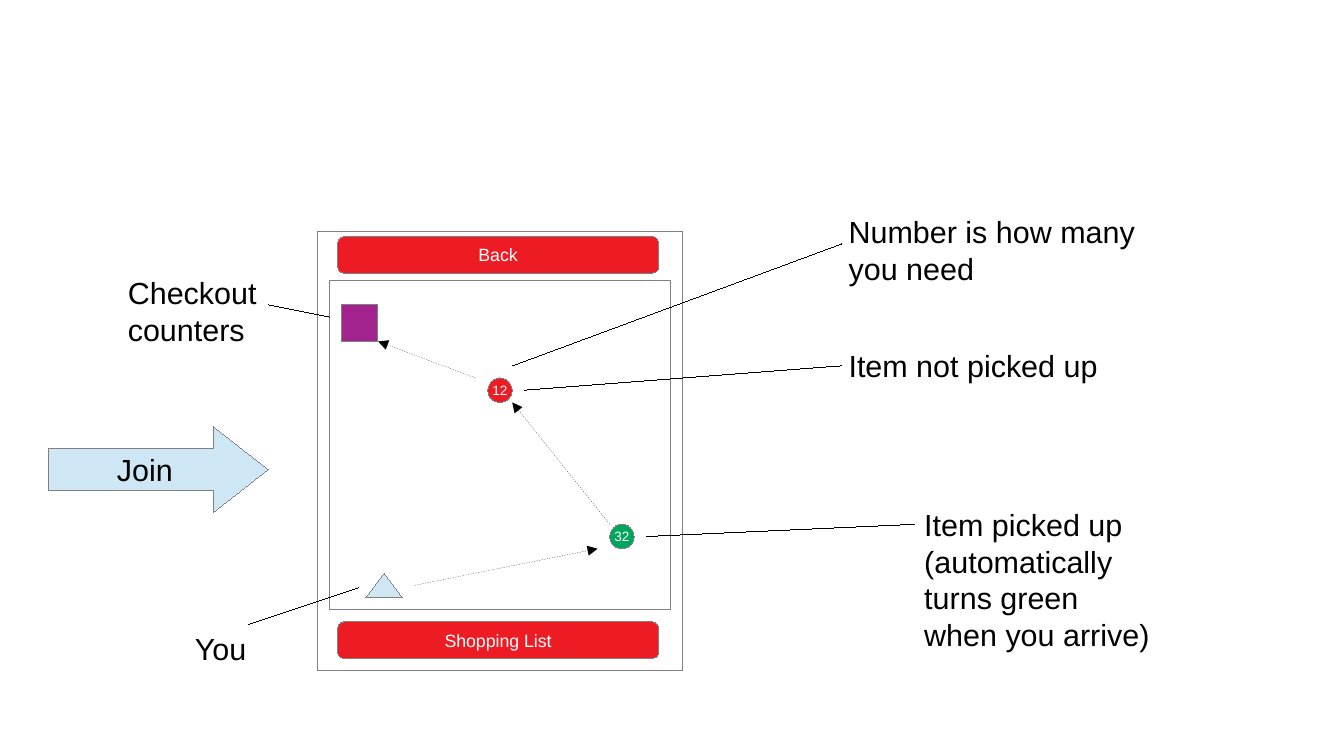
from dataclasses import dataclass

from lxml import etree
from pptx import Presentation
from pptx.dml.color import RGBColor
from pptx.enum.dml import MSO_LINE
from pptx.enum.shapes import MSO_CONNECTOR, MSO_SHAPE
from pptx.enum.text import MSO_ANCHOR, MSO_AUTO_SIZE, PP_ALIGN
from pptx.oxml.ns import qn
from pptx.util import Inches, Pt

RECT = MSO_SHAPE.RECTANGLE
PILL = MSO_SHAPE.FLOWCHART_ALTERNATE_PROCESS
DOT = MSO_SHAPE.OVAL
WEDGE = MSO_SHAPE.ISOSCELES_TRIANGLE
ARROW = MSO_SHAPE.RIGHT_ARROW
STRAIGHT = MSO_CONNECTOR.STRAIGHT
DASH = MSO_LINE.ROUND_DOT
CENTER = PP_ALIGN.CENTER
MIDDLE = MSO_ANCHOR.MIDDLE
GROW = MSO_AUTO_SIZE.SHAPE_TO_FIT_TEXT


@dataclass(frozen=True)
class Theme:
    font: str = "Arial"
    body: float = 18
    button: float = 10.5
    count: float = 8
    black: str = "000000"
    white: str = "FFFFFF"
    edge: str = "808080"
    sky: str = "CFE7F5"
    red: str = "ED1C24"
    green: str = "00A65D"
    purple: str = "A3238E"


THEME = Theme()
CELL = 0.1


def grid(*cells):
    return [Inches(n * CELL) for n in cells]


def color(code):
    return RGBColor.from_string(code)


def hair(line, ink):
    line.color.rgb = color(ink)
    line._get_or_add_ln().set("w", "0")


def write(frame, lines, size, ink, align=None):
    frame.word_wrap = False
    for i, line in enumerate(lines):
        para = frame.paragraphs[0] if i == 0 else frame.add_paragraph()
        para.text = line
        para.alignment = align
        para.font.name = THEME.font
        para.font.size = Pt(size)
        para.font.color.rgb = color(ink)


def block(slide, kind, box, fill, text="", size=THEME.body, ink=THEME.white):
    shape = slide.shapes.add_shape(kind, *grid(*box))
    shape.shadow.inherit = False
    shape.fill.solid()
    shape.fill.fore_color.rgb = color(fill)
    hair(shape.line, THEME.edge)
    if text:
        shape.text_frame.vertical_anchor = MIDDLE
        write(shape.text_frame, [text], size, ink, CENTER)
    return shape


def button(slide, top, text):
    block(slide, PILL, (27.7, top, 26.3, 3), THEME.red, text, THEME.button)


def item(slide, left, top, fill, count):
    block(slide, DOT, (left, top, 2, 2), fill, count, THEME.count)


def link(slide, start, end):
    line = slide.shapes.add_connector(STRAIGHT, *grid(*start, *end))
    hair(line.line, THEME.black)
    etree.SubElement(line._element.spPr, qn("a:effectLst"))
    return line


def route(slide, start, end):
    line = link(slide, start, end).line
    line.dash_style = DASH
    etree.SubElement(line._get_or_add_ln(), qn("a:tailEnd"), type="triangle")


def label(slide, box, *lines):
    frame = slide.shapes.add_textbox(*grid(*box)).text_frame
    frame.auto_size = GROW
    write(frame, lines, THEME.body, THEME.black)


def screen(slide):
    block(slide, RECT, (26, 19, 30, 36), THEME.white)
    block(slide, RECT, (27, 23, 28, 27), THEME.white)
    button(slide, 19.4, "Back")
    button(slide, 51, "Shopping List")
    block(slide, WEDGE, (30, 47, 3, 2), THEME.sky)
    block(slide, RECT, (28, 25, 3, 3), THEME.purple)
    item(slide, 40, 31, THEME.red, "12")
    item(slide, 50, 43, THEME.green, "32")
    route(slide, (34, 48), (49, 45))
    route(slide, (50, 43), (42, 33))
    route(slide, (39, 31), (31, 28))


def notes(slide):
    link(slide, (29.4, 48.2), (20.4, 51.2))
    label(slide, (15, 51.2, 6.4, 3.8), "You")
    link(slide, (22, 25), (27, 26))
    label(slide, (9.5, 22, 13, 6.6), "Checkout", "counters")
    link(slide, (42, 30), (69, 20))
    label(slide, (68.6, 17, 25.5, 6.6), "Number is how many", "you need")
    link(slide, (43, 32), (69, 30))
    label(slide, (68.6, 28, 22.4, 3.8), "Item not picked up")
    link(slide, (53, 44), (75, 43))
    label(slide, (74.8, 41, 20.5, 12.2), "Item picked up", "(automatically",
          "turns green", "when you arrive)")


def main():
    deck = Presentation()
    deck.slide_width, deck.slide_height = grid(110.2, 62)
    slide = deck.slides.add_slide(deck.slide_layouts[6])
    join = block(slide, ARROW, (4, 35, 18, 7), THEME.sky, "Join", ink=THEME.black)
    join.adjustments[1] = 0.64
    screen(slide)
    notes(slide)
    deck.save("out.pptx")


if __name__ == "__main__":
    main()
